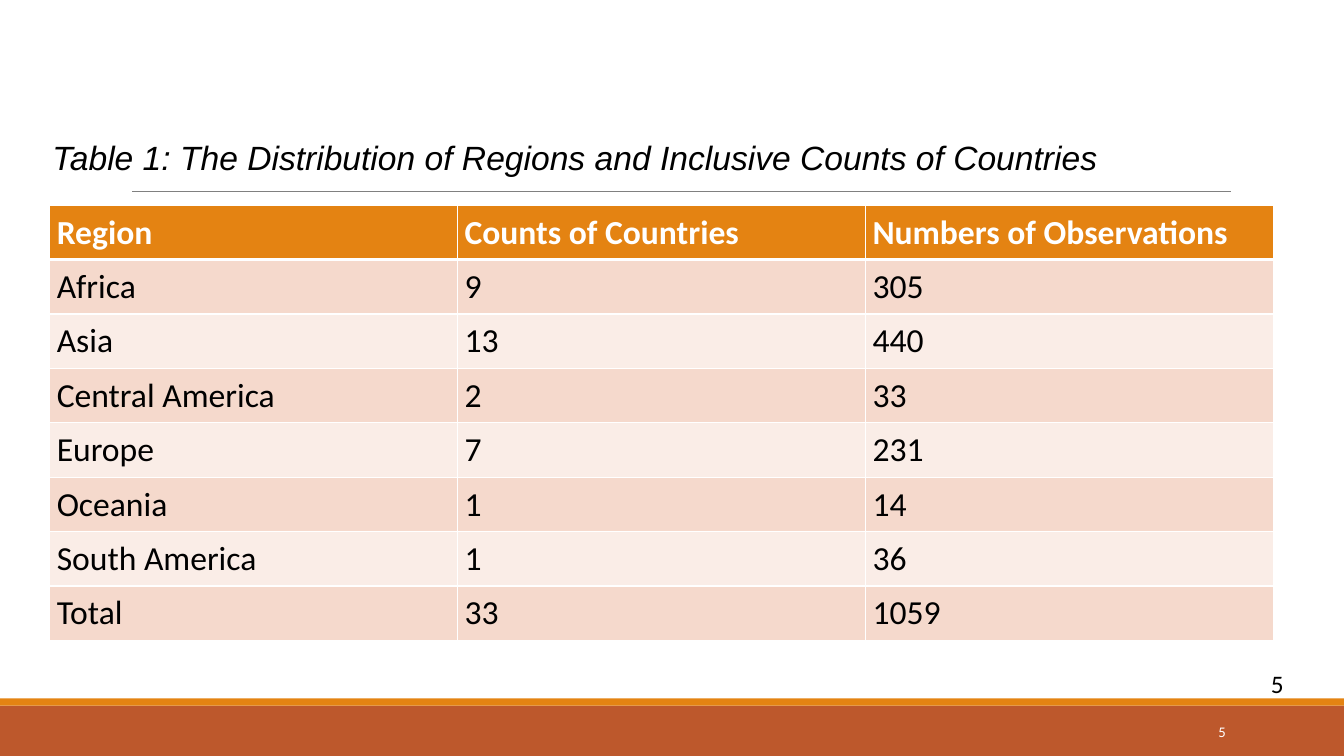
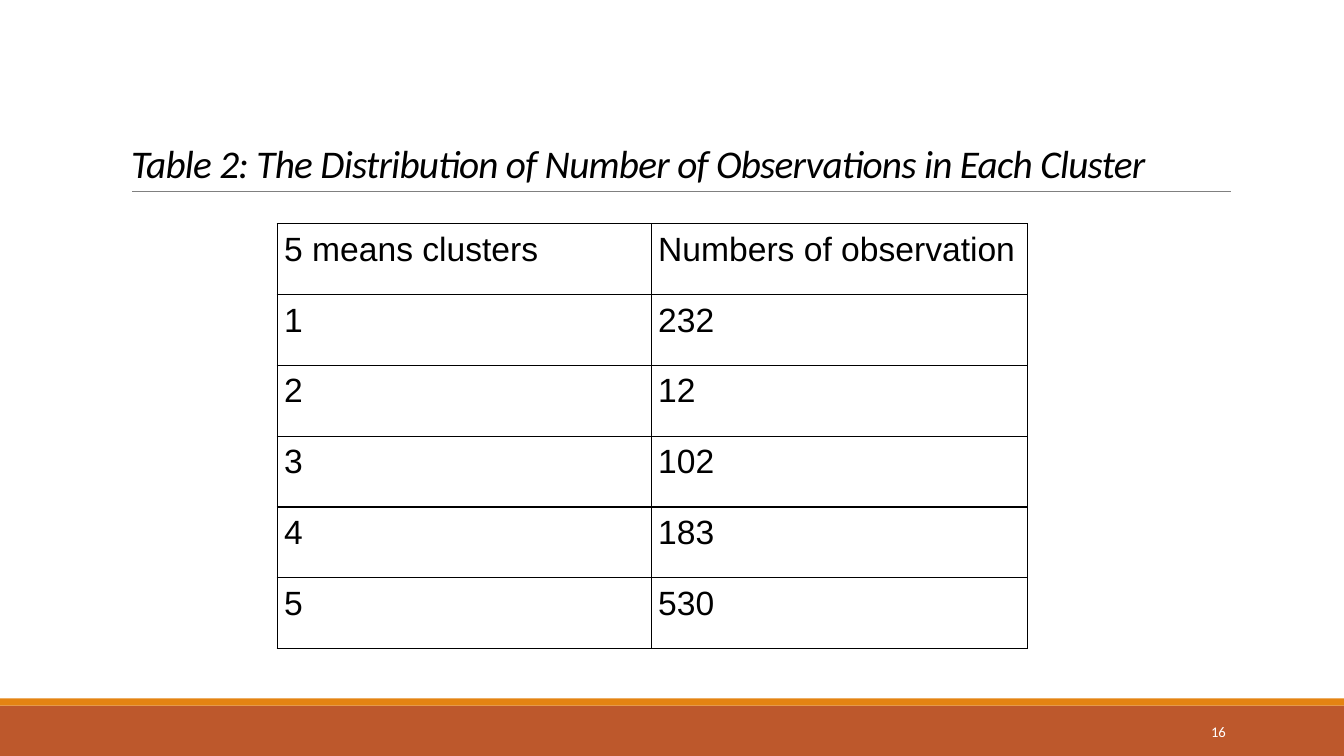
import dataclasses

import lxml.etree
import pptx
import pptx.dml.color
import pptx.enum.shapes
import pptx.enum.text
import pptx.oxml.ns
import pptx.util

ALIGN = pptx.enum.text.PP_ALIGN
ANCHOR = pptx.enum.text.MSO_ANCHOR


@dataclasses.dataclass(frozen=True)
class Theme:
    band: str = "BD582C"
    accent: str = "E48312"
    rule: str = "808080"
    ink: str = "000000"
    paper: str = "FFFFFF"
    stripes: tuple = ("FAEDE7", "F5D9CC")
    sans: str = "Arial"
    body: str = "Calibri"
    title_size: float = 28
    table_size: float = 24
    page_size: float = 18
    footer_size: float = 10.5
    cell_margin: float = 0.07


THEME = Theme()


def color(value):
    return pptx.dml.color.RGBColor.from_string(value)


def write(frame, text, size=THEME.table_size, font=THEME.body, ink=THEME.ink,
          bold=False, italic=False, align=ALIGN.LEFT, anchor=ANCHOR.TOP,
          line_spacing=1.0, tracking=0):
    frame.word_wrap = True
    frame.vertical_anchor = anchor
    paragraph = frame.paragraphs[0]
    paragraph.alignment = align
    paragraph.line_spacing = line_spacing
    run = paragraph.add_run()
    run.text = text
    run.font.size = pptx.util.Pt(size)
    run.font.name = font
    run.font.bold = bold
    run.font.italic = italic
    run.font.color.rgb = color(ink)
    if tracking:
        run.font._element.set("spc", str(round(tracking * 100)))


def add_border(cell, side, ink, width):
    qn = pptx.oxml.ns.qn
    properties = cell._tc.get_or_add_tcPr()
    line = lxml.etree.SubElement(properties, qn("a:ln" + side),
                                 w=str(pptx.util.Pt(width)))
    fill = lxml.etree.SubElement(line, qn("a:solidFill"))
    lxml.etree.SubElement(fill, qn("a:srgbClr"), val=ink)


class Deck:
    columns = 40
    rows = 30

    def __init__(self, theme):
        self.theme = theme
        self.presentation = pptx.Presentation()
        self.presentation.slide_width = pptx.util.Inches(13.33)
        self.presentation.slide_height = pptx.util.Inches(7.5)
        self.slide = None

    def across(self, columns):
        return round(self.presentation.slide_width * columns / self.columns)

    def down(self, rows):
        return round(self.presentation.slide_height * rows / self.rows)

    def box(self, left, top, width, height):
        return (self.across(left), self.down(top),
                self.across(width), self.down(height))

    def start(self, number):
        layout = self.presentation.slide_layouts[5]
        self.slide = self.presentation.slides.add_slide(layout)
        self.band(28, 2, self.theme.band)
        self.band(27.72, 0.28, self.theme.accent)
        self.rule(3.93, 36.63, 7.6)
        self.text(number, (32.49, 28.24, 4.29, 1.6),
                  size=self.theme.footer_size, ink=self.theme.paper,
                  align=ALIGN.RIGHT, anchor=ANCHOR.MIDDLE)

    def band(self, top, height, fill):
        shape = self.slide.shapes.add_shape(
            pptx.enum.shapes.MSO_SHAPE.RECTANGLE,
            *self.box(0, top, self.columns, height))
        shape.shadow.inherit = False
        shape.fill.solid()
        shape.fill.fore_color.rgb = color(fill)
        shape.line.fill.background()

    def rule(self, left, right, row):
        connector = self.slide.shapes.add_connector(
            pptx.enum.shapes.MSO_CONNECTOR.STRAIGHT,
            self.across(left), self.down(row),
            self.across(right), self.down(row))
        connector.line.color.rgb = color(self.theme.rule)
        connector.line.width = pptx.util.Pt(0.5)
        lxml.etree.SubElement(connector._element.spPr,
                              pptx.oxml.ns.qn("a:effectLst"))

    def title(self, text, place, **style):
        shape = self.slide.shapes.title
        shape.left, shape.top, shape.width, shape.height = self.box(*place)
        shape.text_frame.auto_size = pptx.enum.text.MSO_AUTO_SIZE.NONE
        write(shape.text_frame, text, italic=True, **style)

    def text(self, text, place, **style):
        shape = self.slide.shapes.add_textbox(*self.box(*place))
        write(shape.text_frame, text, **style)

    def table(self, records, left, top, widths, row_height, border,
              striped=False, font=THEME.body):
        theme = self.theme
        frame = self.slide.shapes.add_table(
            len(records), len(widths),
            *self.box(left, top, sum(widths), row_height * len(records)))
        table = frame.table
        table.horz_banding = striped
        for column, width in zip(table.columns, widths):
            column.width = self.across(width)
        for index, record in enumerate(records):
            table.rows[index].height = self.down(row_height)
            header = striped and index == 0
            for cell, value in zip(table.rows[index].cells, record):
                margin = pptx.util.Inches(theme.cell_margin)
                cell.margin_left = cell.margin_right = margin
                cell.margin_top = cell.margin_bottom = margin
                for side in "LRTB":
                    thick = striped and (index, side) in ((0, "B"), (1, "T"))
                    add_border(cell, side, border, 3 if thick else 1)
                if striped:
                    cell.fill.solid()
                    cell.fill.fore_color.rgb = color(
                        theme.accent if header else theme.stripes[index % 2])
                else:
                    cell.fill.background()
                write(cell.text_frame, value, font=font, bold=header,
                      ink=theme.paper if header else theme.ink)


REGIONS = (
    ("Region", "Counts of Countries", "Numbers of Observations"),
    ("Africa", "9", "305"),
    ("Asia", "13", "440"),
    ("Central America", "2", "33"),
    ("Europe", "7", "231"),
    ("Oceania", "1", "14"),
    ("South America", "1", "36"),
    ("Total", "33", "1059"),
)
CLUSTERS = (
    ("5 means clusters", "Numbers of observation"),
    ("1", "232"),
    ("2", "12"),
    ("3", "102"),
    ("4", "183"),
    ("5", "530"),
)

deck = Deck(THEME)

deck.start("5")
deck.table(REGIONS, 1.48, 8.14, (12.14,) * 3, 2.16, THEME.paper, striped=True)
deck.title("Table 1: The Distribution of Regions and Inclusive Counts of Countries",
           (1.26, 5.24, 38.07, 3.24), font=THEME.sans)
deck.text("5", (37.53, 26.32, 2.1, 1.6), size=THEME.page_size)

deck.start("16")
deck.title("Table 2: The Distribution of Number of Observations in Each Cluster",
           (3.6, 1.24, 33, 6.36), size=THEME.title_size,
           anchor=ANCHOR.BOTTOM, line_spacing=0.85, tracking=-0.5)
deck.table(CLUSTERS, 8.25, 8.88, (11.13, 11.19), 2.81, THEME.ink,
           font=THEME.sans)

deck.presentation.save("out.pptx")
